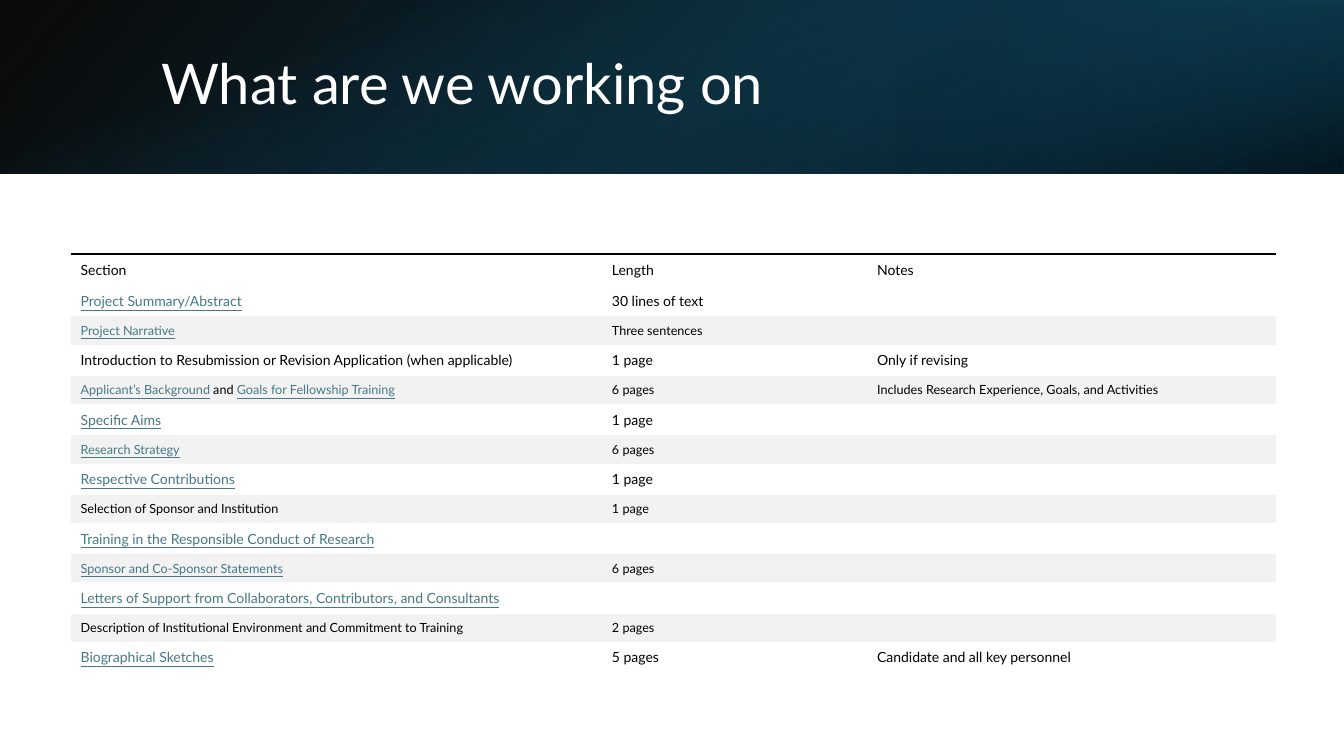
"""Build the slide listing the application sections with their lengths and notes."""
from lxml.etree import SubElement
from pptx import Presentation
from pptx.dml.color import RGBColor
from pptx.enum.shapes import MSO_SHAPE
from pptx.enum.text import MSO_ANCHOR, MSO_AUTO_SIZE, PP_ALIGN
from pptx.oxml import parse_xml
from pptx.oxml.ns import nsdecls, qn
from pptx.util import Inches, Pt

COLORS = {
    "black": "000000",
    "white": "FFFFFF",
    "band": "F2F2F2",
    "link": "467886",
    "navy": "104862",
    "deep": "0B3041",
    "teal": "156082",
}
FONT = "Lato"


def style_run(run, size, color, underline=False):
    run.font.name = FONT
    run.font.size = Pt(size)
    run.font.underline = underline
    run.font.color.rgb = RGBColor.from_string(COLORS[color])


def gradient_fill(stops, angle):
    stop_xml = "".join(
        f'<a:gs pos="{position * 1000}"><a:srgbClr val="{COLORS[color]}">'
        f'<a:alpha val="{opacity * 1000}"/></a:srgbClr></a:gs>'
        for position, color, opacity in stops
    )
    return parse_xml(
        f'<a:gradFill {nsdecls("a")} rotWithShape="1"><a:gsLst>{stop_xml}</a:gsLst>'
        f'<a:lin ang="{angle * 60000}" scaled="0"/></a:gradFill>'
    )


presentation = Presentation()
presentation.slide_width = Inches(13.33)
presentation.slide_height = Inches(7.5)
slide = presentation.slides.add_slide(presentation.slide_layouts[5])

banner_layers = [
    ((0, 0, 13.33, 1.72), 0, True, [(0, "black", 96), (100, "navy", 100)], 140),
    ((8.89, 0, 4.44, 1.72), 180, True, [(19, "deep", 68), (100, "teal", 79)], 320),
    ((5.8, -5.8, 1.72, 13.33), 90, False, [(23, "teal", 0), (99, "black", 74)], 340),
]
for box, rotation, flipped, stops, angle in banner_layers:
    banner = slide.shapes.add_shape(MSO_SHAPE.RECTANGLE, *map(Inches, box))
    banner.rotation = rotation
    banner.shadow.inherit = False
    banner.line.fill.background()
    properties = banner._element.spPr
    if flipped:
        properties.find(qn("a:xfrm")).set("flipH", "1")
    properties.find(qn("a:prstGeom")).addnext(gradient_fill(stops, angle))

heading = slide.shapes.title
slide.shapes._spTree.append(heading._element)
heading.left, heading.top = Inches(1.5), Inches(0.38)
heading.width, heading.height = Inches(10.98), Inches(0.96)
heading.text_frame.text = "What are we working on"
heading.text_frame.word_wrap = True
heading.text_frame.auto_size = MSO_AUTO_SIZE.NONE
heading.text_frame.vertical_anchor = MSO_ANCHOR.MIDDLE
heading_line = heading.text_frame.paragraphs[0]
heading_line.alignment = PP_ALIGN.LEFT
heading_line.line_spacing = 0.9
style_run(heading_line.runs[0], 40, "white")

# Text between bars is shown as a link.
sections = [
    ("Section", "Length", "Notes"),
    ("|Project Summary/Abstract|", "30 lines of text", ""),
    ("|Project Narrative|", "Three sentences", ""),
    ("Introduction to Resubmission or Revision Application (when applicable)",
     "1 page", "Only if revising"),
    ("|Applicant’s Background| and |Goals for Fellowship Training|",
     "6 pages", "Includes Research Experience, Goals, and Activities"),
    ("|Specific Aims|", "1 page", ""),
    ("|Research Strategy|", "6 pages", ""),
    ("|Respective Contributions|", "1 page", ""),
    ("Selection of Sponsor and Institution", "1 page", ""),
    ("|Training in the Responsible Conduct of Research|", "", ""),
    ("|Sponsor and Co-Sponsor Statements|", "6 pages", ""),
    ("|Letters of Support from Collaborators, Contributors, and Consultants|", "", ""),
    ("Description of Institutional Environment and Commitment to Training",
     "2 pages", ""),
    ("|Biographical Sketches|", "5 pages", "Candidate and all key personnel"),
]
sections_frame = slide.shapes.add_table(
    len(sections), 3, Inches(0.7), Inches(2.52), Inches(11.95), Inches(4.17))
sections_table = sections_frame.table
sections_table.first_row = False
sections_table.horz_banding = False
style_id = sections_table._tbl.tblPr.find(qn("a:tableStyleId"))
style_id.text = "{2D5ABB26-0587-4C30-8999-92F81FD0307C}"
for column, width in zip(sections_table.columns, (5.27, 2.63, 4.06)):
    column.width = Inches(width)

for row_index, section in enumerate(sections):
    banded = row_index > 0 and row_index % 2 == 0
    size = 9 if banded else 10
    sections_table.rows[row_index].height = Inches(0.28 if banded else 0.31)
    for column_index, entry in enumerate(section):
        cell = sections_table.cell(row_index, column_index)
        cell.vertical_anchor = MSO_ANCHOR.MIDDLE
        if banded:
            cell.fill.solid()
            cell.fill.fore_color.rgb = RGBColor.from_string(COLORS["band"])
        else:
            cell.fill.background()
        if row_index == 0:
            cell._tc.tcPr.insert(0, parse_xml(
                f'<a:lnT {nsdecls("a")} w="{Pt(2.25)}"><a:solidFill>'
                f'<a:srgbClr val="{COLORS["black"]}"/></a:solidFill></a:lnT>'))
        paragraph = cell.text_frame.paragraphs[0]
        for part_index, part in enumerate(entry.split("|")):
            if part:
                linked = part_index % 2 == 1
                run = paragraph.add_run()
                run.text = part
                style_run(run, size, "link" if linked else "black", linked)
        if not entry:
            SubElement(paragraph._p, qn("a:endParaRPr"), sz=str(size * 100))

presentation.save("out.pptx")
